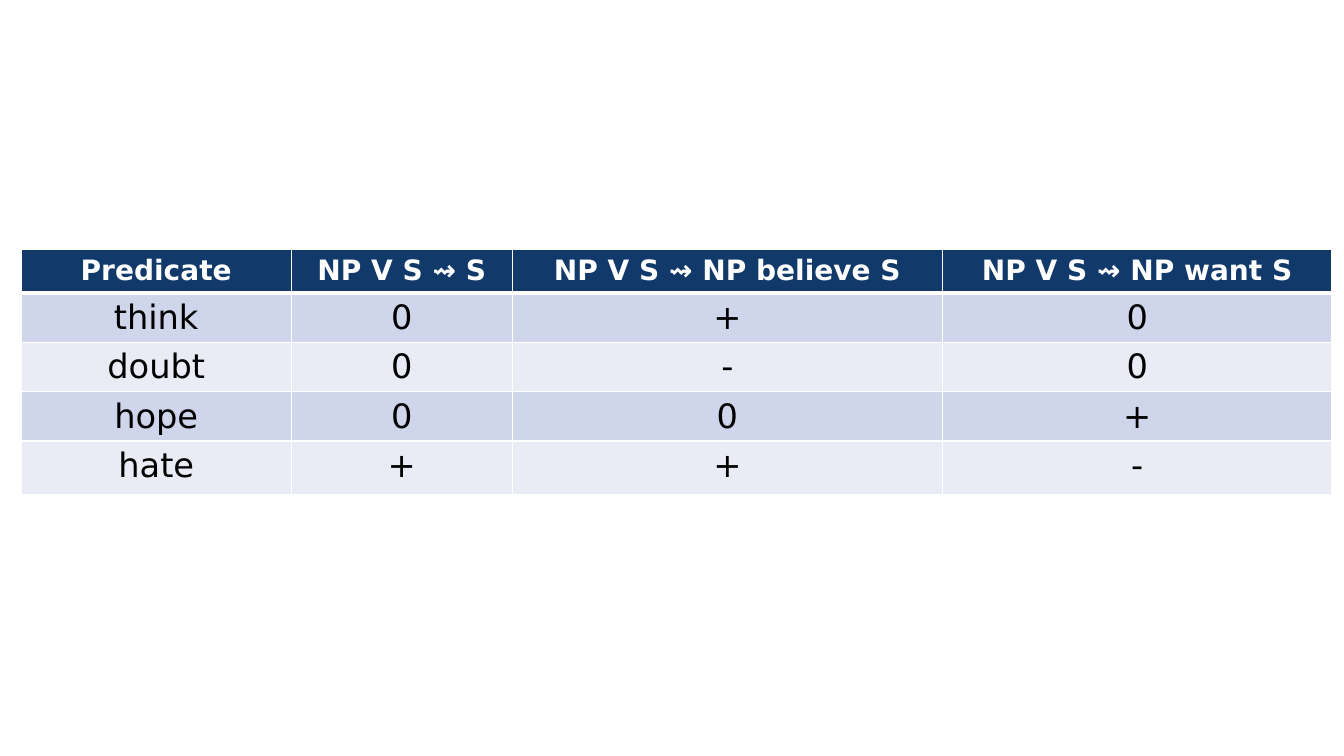
from dataclasses import dataclass

from lxml import etree
from pptx import Presentation
from pptx.dml.color import RGBColor
from pptx.enum.text import PP_ALIGN
from pptx.oxml.ns import qn
from pptx.table import _Cell
from pptx.util import Inches, Pt

FONT = "DejaVu Sans"
BORDER_COLOR = "FFFFFF"
THIN, THICK = 1, 3
COLUMN_WIDTHS = [2.68, 2.19, 4.27, 3.86]
ROW_HEIGHTS = [0.44, 0.41, 0.39, 0.4, 0.53]
ROWS = [
    ["Predicate", "NP V S ⇝ S", "NP V S ⇝ NP believe S", "NP V S ⇝ NP want S"],
    ["think", "0", "+", "0"],
    ["doubt", "0", "-", "0"],
    ["hope", "0", "0", "+"],
    ["hate", "+", "+", "-"],
]


@dataclass(frozen=True)
class RowStyle:
    fill: str
    color: str
    size: int
    bold: bool
    top: int = THIN
    bottom: int = THIN


HEADER = RowStyle("113A6B", "FFFFFF", 20, True, bottom=THICK)
FIRST = RowStyle("CFD5EA", "000000", 24, False, top=THICK)
ODD = RowStyle("CFD5EA", "000000", 24, False)
EVEN = RowStyle("E9EBF5", "000000", 24, False)
ROW_STYLES = [HEADER, FIRST, EVEN, ODD, EVEN]


def rgb(color: str) -> RGBColor:
    return RGBColor.from_string(color)


def add_borders(cell: _Cell, style: RowStyle) -> None:
    tc_pr = cell._tc.get_or_add_tcPr()
    widths = {"L": THIN, "R": THIN, "T": style.top, "B": style.bottom}
    for side, width in widths.items():
        line = etree.SubElement(tc_pr, qn(f"a:ln{side}"), w=str(Pt(width)))
        fill = etree.SubElement(line, qn("a:solidFill"))
        etree.SubElement(fill, qn("a:srgbClr"), val=BORDER_COLOR)


def fill_cell(cell: _Cell, text: str, style: RowStyle) -> None:
    add_borders(cell, style)
    cell.fill.solid()
    cell.fill.fore_color.rgb = rgb(style.fill)
    cell.text_frame.text = text
    p = cell.text_frame.paragraphs[0]
    p.alignment = PP_ALIGN.CENTER
    font = p.runs[0].font
    font.name = FONT
    font.size = Pt(style.size)
    font.bold = style.bold
    font.color.rgb = rgb(style.color)


def main() -> None:
    prs = Presentation()
    prs.slide_width, prs.slide_height = Inches(13.33), Inches(7.5)
    s = prs.slides.add_slide(prs.slide_layouts[6])
    table = s.shapes.add_table(
        len(ROWS), len(COLUMN_WIDTHS), Inches(0.21), Inches(2.47),
        Inches(sum(COLUMN_WIDTHS)), Inches(sum(ROW_HEIGHTS)),
    ).table
    for column, width in zip(table.columns, COLUMN_WIDTHS):
        column.width = Inches(width)
    for row, height, texts, style in zip(table.rows, ROW_HEIGHTS, ROWS, ROW_STYLES):
        row.height = Inches(height)
        for cell, text in zip(row.cells, texts):
            fill_cell(cell, text, style)
    prs.save("out.pptx")


if __name__ == "__main__":
    main()
